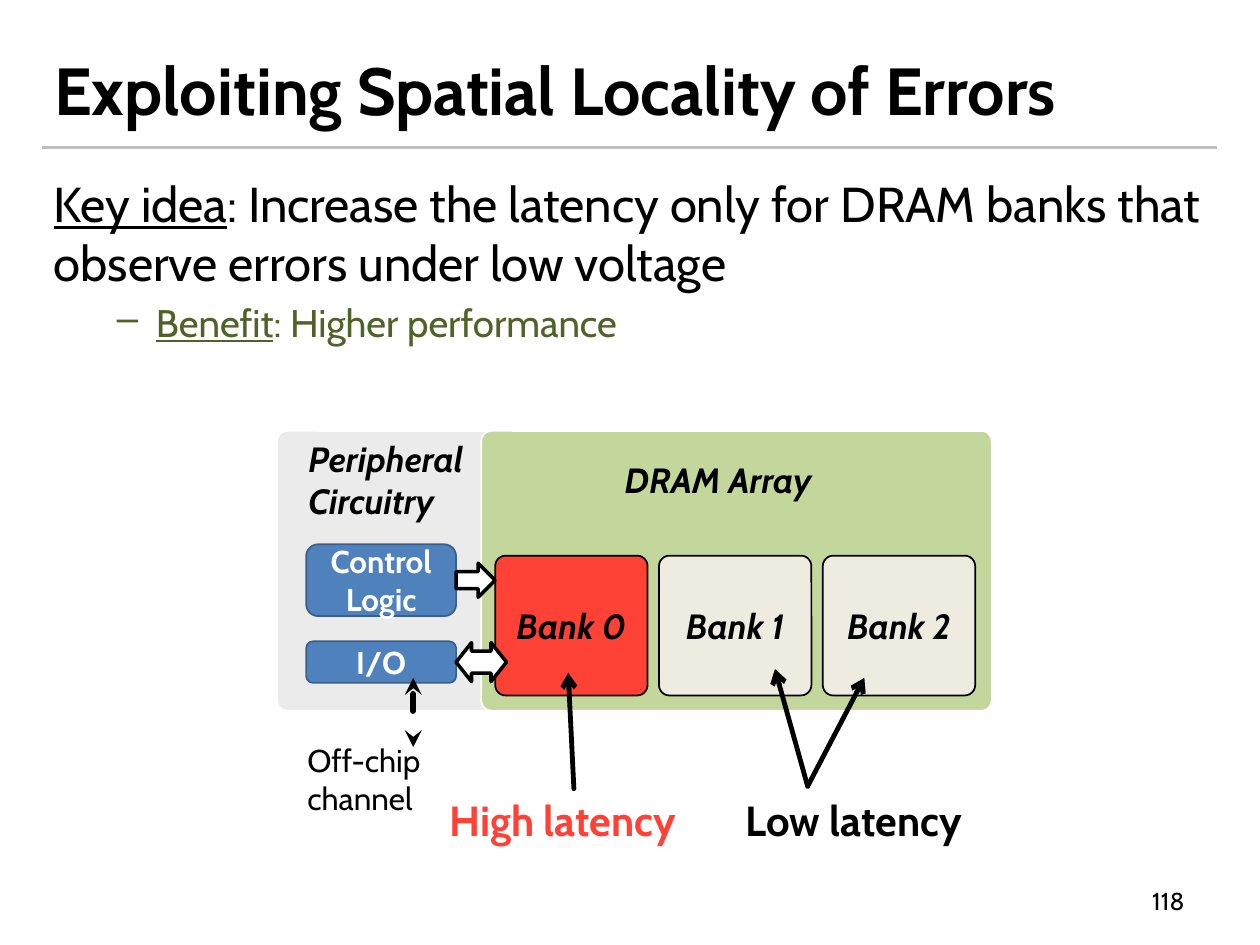
from dataclasses import dataclass

from lxml import etree
from pptx import Presentation
from pptx.dml.color import RGBColor
from pptx.enum.dml import MSO_LINE
from pptx.enum.shapes import MSO_CONNECTOR, MSO_SHAPE
from pptx.enum.text import MSO_ANCHOR, MSO_AUTO_SIZE, PP_ALIGN
from pptx.oxml.ns import qn
from pptx.util import Inches, Pt

STRAIGHT = MSO_CONNECTOR.STRAIGHT
ROUNDED = MSO_SHAPE.ROUNDED_RECTANGLE
RIGHT_ARROW = MSO_SHAPE.RIGHT_ARROW
DOUBLE_ARROW = MSO_SHAPE.LEFT_RIGHT_ARROW
DASH = MSO_LINE.DASH
TOP, MIDDLE = MSO_ANCHOR.TOP, MSO_ANCHOR.MIDDLE
LEFT, CENTER, RIGHT = PP_ALIGN.LEFT, PP_ALIGN.CENTER, PP_ALIGN.RIGHT
TOP_SITE = 0

WIDTH, HEIGHT = Inches(10), Inches(7.5)
CELL = WIDTH / 100


@dataclass(frozen=True)
class Theme:
    font: str = "Cabin"
    ink: str = "000000"
    paper: str = "FFFFFF"
    rule: str = "BFBFBF"
    benefit: str = "4F6228"
    peripheral: str = "EBEBEB"
    array: str = "C3D69B"
    logic: str = "4F81BD"
    logic_edge: str = "3A5F8C"
    bank: str = "EEECE1"
    slow: str = "FF4136"
    title: int = 38
    body: int = 28
    sub: int = 22
    callout: int = 24
    label: int = 20
    small: int = 18
    number: int = 14


@dataclass(frozen=True)
class Box:
    left: float
    top: float
    width: float
    height: float

    def inner(self, left, top, width, height):
        return Box(self.left + left, self.top + top, width, height)

    def point(self, across, down):
        return self.left + across, self.top + down

    def lengths(self):
        return [cells(n) for n in (self.left, self.top, self.width, self.height)]


THEME = Theme()


def cells(count):
    return round(count * CELL)


def colour(code):
    return RGBColor.from_string(code)


def write(para, text, size=THEME.label, color=THEME.ink, bold=False,
          italic=False, underline=False, align=LEFT):
    para.alignment = align
    for index, line in enumerate(text.split("\n")):
        if index:
            para.add_line_break()
        span = para.add_run()
        span.text = line
        font = span.font
        font.name, font.size = THEME.font, Pt(size)
        font.bold, font.italic, font.underline = bold, italic, underline
        font.color.rgb = colour(color)


def add_label(page, box, text, anchor=TOP, wrap=True, **style):
    label = page.shapes.add_textbox(*box.lengths())
    label.text_frame.word_wrap = wrap
    label.text_frame.vertical_anchor = anchor
    write(label.text_frame.paragraphs[0], text, **style)
    return label


def add_block(page, box, fill, edge, weight=1, kind=ROUNDED, adjust=(), text="", **style):
    block = page.shapes.add_shape(kind, *box.lengths())
    block.shadow.inherit = False
    for index, value in enumerate(adjust):
        block.adjustments[index] = value
    block.fill.solid()
    block.fill.fore_color.rgb = colour(fill)
    block.line.color.rgb = colour(edge)
    block.line.width = Pt(weight)
    if text:
        block.text_frame.word_wrap = True
        block.text_frame.vertical_anchor = MIDDLE
        write(block.text_frame.paragraphs[0], text, align=CENTER, **style)
    return block


def add_line(page, start, end, color=THEME.ink, weight=2.75, head=None, tail=None, dash=None):
    line = page.shapes.add_connector(STRAIGHT, *map(cells, start + end))
    line.line.color.rgb = colour(color)
    line.line.width = Pt(weight)
    if dash:
        line.line.dash_style = dash
    properties = line._element.spPr
    outline = properties.find(qn("a:ln"))
    for tag, kind in (("a:headEnd", head), ("a:tailEnd", tail)):
        if kind:
            outline.set("cap", "rnd")
            etree.SubElement(outline, qn(tag)).set("type", kind)
    etree.SubElement(properties, qn("a:effectLst"))
    return line


def add_heading(page, box):
    title = page.shapes.title
    title.left, title.top, title.width, title.height = box.lengths()
    frame = title.text_frame
    frame.auto_size = MSO_AUTO_SIZE.NONE
    frame.word_wrap = True
    frame.vertical_anchor = MIDDLE
    write(frame.paragraphs[0], "Exploiting Spatial Locality of Errors",
          size=THEME.title, bold=True)
    add_line(page, box.point(0, 10.9), box.point(box.width, 10.9), THEME.rule, 1.5)


def add_key_idea(page, box):
    frame = add_label(page, box, "Key idea", size=THEME.body, underline=True).text_frame
    write(frame.paragraphs[0],
          ": Increase the latency only for DRAM banks that observe errors under low voltage",
          size=THEME.body)
    para = frame.add_paragraph()
    para.level = 1
    para.space_before = Pt(0.2 * THEME.sub)
    properties = para._p.get_or_add_pPr()
    properties.set("marL", str(cells(8.1)))
    properties.set("indent", str(cells(-3.1)))
    etree.SubElement(properties, qn("a:buChar")).set("char", "–")
    write(para, "Benefit", size=THEME.sub, color=THEME.benefit, underline=True)
    write(para, ": Higher performance", size=THEME.sub, color=THEME.benefit)


def add_peripheral(page, box):
    add_label(page, box.inner(1.5, 0, 14.7, 7.7), "Peripheral\nCircuitry",
              wrap=False, bold=True, italic=True)
    for text, top, height in (("Control\nLogic", 9, 5.7), ("I/O", 16.7, 3.3)):
        add_block(page, box.inner(2.3, top, 11.9, height), THEME.logic, THEME.logic_edge,
                  text=text, size=THEME.small, color=THEME.paper, bold=True)


def add_array(page, box):
    add_label(page, box.inner(10.4, 1.7, 20.2, 4.4), "DRAM Array", bold=True, italic=True)
    for index, fill in enumerate((THEME.slow, THEME.bank, THEME.bank)):
        add_block(page, box.inner(1.1 + 13 * index, 9.9, 12.1, 11.1), fill, THEME.ink,
                  adjust=[0.075], text=f"Bank {index}", bold=True, italic=True)


def add_chip(page, box):
    array = box.inner(16.2, 0, box.width - 16.2, box.height)
    for area, fill in ((box, THEME.peripheral), (array, THEME.array)):
        add_block(page, area, fill, THEME.paper, adjust=[0.036])
    add_peripheral(page, box)
    add_array(page, array)
    add_block(page, box.inner(14.2, 10.5, 3.1, 2.7), THEME.paper, THEME.ink, 2, RIGHT_ARROW)
    add_block(page, box.inner(14.2, 16.8, 4, 3.1), THEME.paper, THEME.ink, 2, DOUBLE_ARROW,
              adjust=[0.561, 0.396])


def add_callouts(page, box):
    add_line(page, box.point(10.8, 19.6), box.point(10.8, 25.1), weight=3.25,
             head="stealth", tail="stealth", dash=DASH)
    add_label(page, box.inner(1.4, 24.1, 18.8, 7), "Off-chip\nchannel", size=THEME.small)
    high = add_label(page, box.inner(12.7, 28.4, 21.7, 5), "High latency",
                     size=THEME.callout, color=THEME.slow, bold=True)
    pointer = add_line(page, box.point(23.5, 28.4), box.point(23.1, 19.2), tail="arrow")
    pointer.begin_connect(high, TOP_SITE)
    add_label(page, box.inner(36.2, 28.4, 20.8, 5), "Low latency",
              size=THEME.callout, bold=True)
    for tip in ((39.5, 18.9), (46.6, 19.6)):
        add_line(page, box.point(42.1, 28.2), box.point(*tip), tail="arrow")


def main():
    deck = Presentation()
    deck.slide_width, deck.slide_height = WIDTH, HEIGHT
    page = deck.slides.add_slide(deck.slide_layouts.get_by_name("Title Only"))
    chip = Box(22, 34.2, 56.7, 22.2)
    add_heading(page, Box(3.3, 0.8, 93.3, 12.5))
    add_key_idea(page, Box(3.3, 13.3, 93.3, 58.3))
    add_chip(page, chip)
    add_callouts(page, chip)
    add_label(page, Box(71.7, 69.5, 23.3, 4), "118", anchor=MIDDLE,
              size=THEME.number, align=RIGHT)
    deck.save("out.pptx")


if __name__ == "__main__":
    main()
